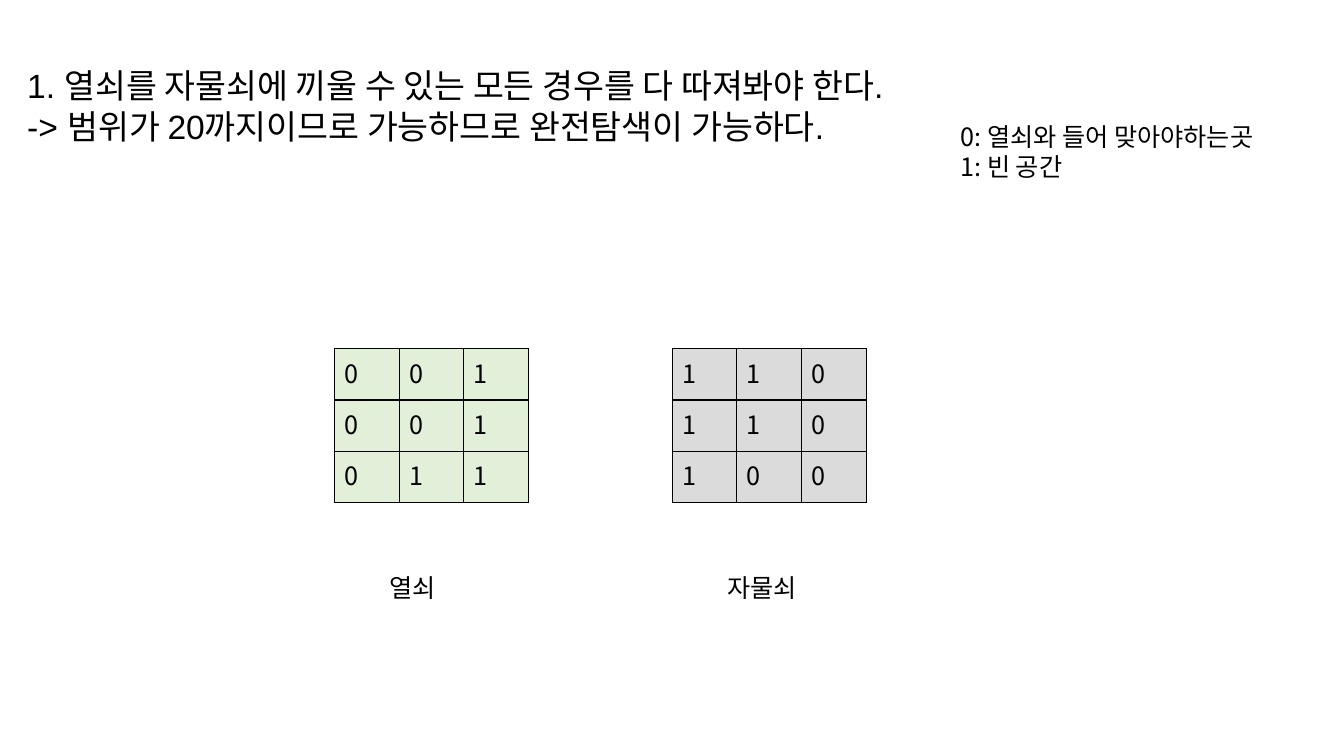
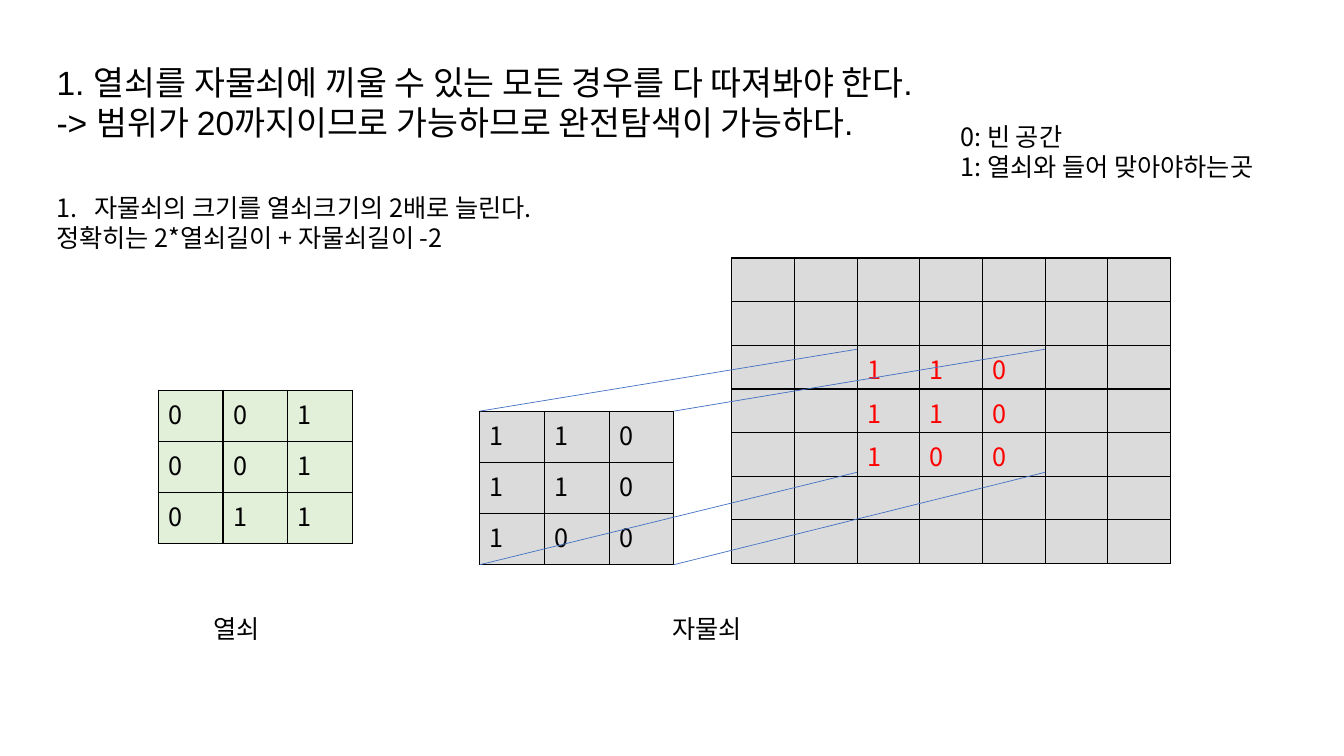
from lxml import etree
from pptx import Presentation
from pptx.dml.color import RGBColor
from pptx.enum.shapes import MSO_CONNECTOR
from pptx.enum.text import MSO_ANCHOR, MSO_AUTO_SIZE, PP_ALIGN
from pptx.oxml.ns import qn
from pptx.util import Cm, Pt

STRAIGHT = MSO_CONNECTOR.STRAIGHT

# Shared style
BLACK, RED, BLUE = "000000", "FF0000", "4472C4"
KEY_FILL, LOCK_FILL = "E2F0D9", "DBDBDB"
TITLE_FONT, TEXT_FONT = "Arial", "Noto Sans CJK KR"
FRAME_FORMAT = {
    "word_wrap": True,
    "auto_size": MSO_AUTO_SIZE.NONE,
    "vertical_anchor": MSO_ANCHOR.TOP,
}
PARAGRAPH_FORMAT = {
    "alignment": PP_ALIGN.LEFT,
    "line_spacing": 1.0,
    "space_before": Pt(0),
    "space_after": Pt(0),
}
TABLE_FORMAT = {"first_row": False, "horz_banding": False}
CELL_WIDTH, CELL_HEIGHT = 1.63, 1.29
WIDE_CELL_WIDTH, WIDE_CELL_HEIGHT = 1.58, 1.1

# Shared content
HEADING = [
    "1. 열쇠를 자물쇠에 끼울 수 있는 모든 경우를 다 따져봐야 한다.",
    "-> 범위가 20까지이므로 가능하므로 완전탐색이 가능하다.",
]
STEPS = [
    "자물쇠의 크기를 열쇠크기의 2배로 늘린다.",
    "정확히는 2*열쇠길이 + 자물쇠길이 -2",
]
KEY = ["001", "001", "011"]
LOCK = ["110", "110", "100"]

# The lock surrounded by empty cells, so the key can overlap every edge
PAD = len(KEY) - 1
SIDE = 2 * len(KEY) + len(LOCK) - 2
EMPTY_ROWS = [" " * SIDE] * PAD
WIDE_LOCK = EMPTY_ROWS + [row.center(SIDE) for row in LOCK] + EMPTY_ROWS


def write_lines(frame, lines, size=18, font=TEXT_FONT, color=BLACK, numbered=()):
    for index, line in enumerate(lines):
        paragraph = frame.paragraphs[0] if index == 0 else frame.add_paragraph()
        for name, value in PARAGRAPH_FORMAT.items():
            setattr(paragraph, name, value)
        properties = paragraph._p.get_or_add_pPr()
        indent = Cm(0.95) if index in numbered else 0
        properties.set("marL", str(indent))
        properties.set("indent", str(-indent))
        if index in numbered:
            etree.SubElement(properties, qn("a:buAutoNum"), type="arabicPeriod")
        else:
            etree.SubElement(properties, qn("a:buNone"))
        run = paragraph.add_run()
        run.text = line
        run.font.size = Pt(size)
        run.font.name = font
        run.font.color.rgb = RGBColor.from_string(color)
        etree.SubElement(run._r.get_or_add_rPr(), qn("a:ea"), typeface=TEXT_FONT)


def add_grid(slide, rows, left, top, cell_width, cell_height, fill, color=BLACK):
    count = len(rows)
    table = slide.shapes.add_table(
        count, count, Cm(left), Cm(top), Cm(count * cell_width), Cm(count * cell_height)
    ).table
    for name, value in TABLE_FORMAT.items():
        setattr(table, name, value)
    for y, row in enumerate(rows):
        for x, digit in enumerate(row):
            cell = table.cell(y, x)
            if digit != " ":
                write_lines(cell.text_frame, [digit], color=color)
            properties = cell._tc.get_or_add_tcPr()
            for side in ("a:lnL", "a:lnR", "a:lnT", "a:lnB"):
                border = etree.SubElement(properties, qn(side), w=str(Pt(1)))
                border_fill = etree.SubElement(border, qn("a:solidFill"))
                etree.SubElement(border_fill, qn("a:srgbClr"), val=BLACK)
            cell.fill.solid()
            cell.fill.fore_color.rgb = RGBColor.from_string(fill)


presentation = Presentation()
presentation.slide_width = Cm(33.87)
presentation.slide_height = Cm(19.05)

# What differs between the slides; places are (left, top) in centimetres
PAGES = [
    {
        "heading": (0.43, 1.52),
        "legend": ["0: 열쇠와 들어 맞아야하는곳", "1: 빈 공간"],
        "key": (8.43, 8.79),
        "lock": (16.94, 8.79),
        "labels": {"열쇠": (9.56, 14.3), "자물쇠": (18.08, 14.3)},
    },
    {
        "heading": (1.17, 1.42),
        "legend": ["0: 빈 공간", "1: 열쇠와 들어 맞아야하는곳"],
        "key": (3.99, 9.83),
        "lock": (12.09, 10.36),
        "labels": {"열쇠": (5.13, 15.34), "자물쇠": (16.69, 15.34)},
    },
]

for page in PAGES:
    slide = presentation.slides.add_slide(presentation.slide_layouts[1])

    # Heading and legend
    heading, legend = slide.shapes.title, slide.placeholders[1]
    for block, (left, top), width, height in (
        (heading, page["heading"], 24.77, 2.31),
        (legend, (23.95, 2.92), 9.91, 1.8),
    ):
        block.left, block.top = Cm(left), Cm(top)
        block.width, block.height = Cm(width), Cm(height)
        for name, value in FRAME_FORMAT.items():
            setattr(block.text_frame, name, value)
    write_lines(heading.text_frame, HEADING, size=24, font=TITLE_FONT)
    write_lines(legend.text_frame, page["legend"])

    # Key and lock with their labels
    add_grid(slide, KEY, *page["key"], CELL_WIDTH, CELL_HEIGHT, KEY_FILL)
    add_grid(slide, LOCK, *page["lock"], CELL_WIDTH, CELL_HEIGHT, LOCK_FILL)
    for text, (left, top) in page["labels"].items():
        label = slide.shapes.add_textbox(Cm(left), Cm(top), Cm(3.99), Cm(1.02))
        label.text_frame.word_wrap = True
        write_lines(label.text_frame, [text])

# Second slide: steps for enlarging the lock
steps = slide.shapes.add_textbox(Cm(1.17), Cm(4.72), Cm(15.93), Cm(1.8))
steps.text_frame.word_wrap = True
write_lines(steps.text_frame, STEPS, numbered=(0,))

# Enlarged lock
wide_left, wide_top = 18.44, 6.5
add_grid(slide, WIDE_LOCK, wide_left, wide_top,
         WIDE_CELL_WIDTH, WIDE_CELL_HEIGHT, LOCK_FILL, RED)

# Lines from the corners of the lock to its place in the enlarged one
lock_left, lock_top = page["lock"]
lock_bottom = lock_top + len(LOCK) * CELL_HEIGHT
for column in (0, len(LOCK)):
    start_x = lock_left + column * CELL_WIDTH
    end_x = wide_left + (PAD + column) * WIDE_CELL_WIDTH
    for start_y, end_y in ((lock_top, 8.8), (lock_bottom, 11.9)):
        guide = slide.shapes.add_connector(
            STRAIGHT, Cm(start_x), Cm(start_y), Cm(end_x), Cm(end_y)
        )
        guide.line.color.rgb = RGBColor.from_string(BLUE)
        guide.line.width = Pt(0.5)
        etree.SubElement(guide._element.spPr, qn("a:effectLst"))

presentation.save("out.pptx")
